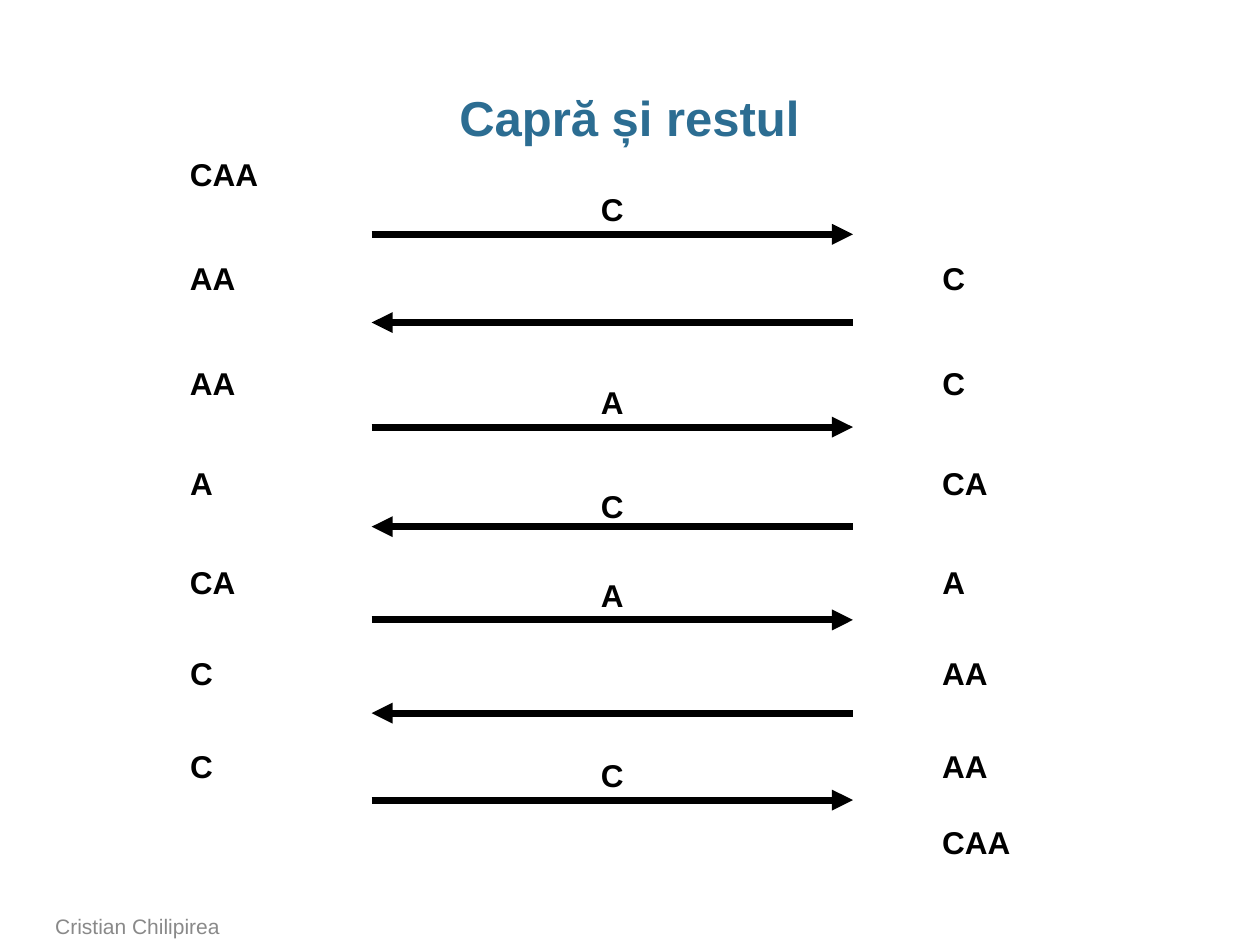
from dataclasses import dataclass

from lxml.etree import SubElement
from pptx import Presentation
from pptx.dml.color import RGBColor
from pptx.enum.shapes import MSO_CONNECTOR
from pptx.enum.text import MSO_ANCHOR, MSO_AUTO_SIZE, PP_ALIGN
from pptx.oxml.ns import qn
from pptx.util import Inches, Pt

COLS, ROWS = 100, 75
WIDTH, HEIGHT = Inches(10), Inches(7.5)
LEFT_BANK, RIGHT_BANK, CARGO = 14.1, 73.8, 46.7
ARROW_START, ARROW_END = 29.5, 67.7

# (row, left bank, right bank)
STATES = [
    (11.8, "CAA", ""),
    (20.1, "AA", "C"),
    (28.4, "AA", "C"),
    (36.3, "A", "CA"),
    (44.2, "CA", "A"),
    (51.4, "C", "AA"),
    (58.8, "C", "AA"),
    (64.8, "", "CAA"),
]

# (arrow row, cargo row, cargo)
CROSSINGS = [
    (18.6, 14.6, "C"),
    (25.6, 21.6, ""),
    (33.9, 29.9, "A"),
    (41.8, 38.2, "C"),
    (49.2, 45.2, "A"),
    (56.6, 52.6, ""),
    (63.5, 59.5, "C"),
]


@dataclass(frozen=True)
class Theme:
    """Colours, font and sizes of the slide."""

    font: str = "Arial"
    title: RGBColor = RGBColor(0x2C, 0x6D, 0x92)
    ink: RGBColor = RGBColor(0, 0, 0)
    muted: RGBColor = RGBColor(0x89, 0x89, 0x89)
    title_size: Pt = Pt(28)
    label_size: Pt = Pt(18)
    footer_size: Pt = Pt(12)
    line_width: Pt = Pt(4)


THEME = Theme()


def x(col):
    """Return the horizontal position of a grid column."""
    return round(WIDTH * col / COLS)


def y(row):
    """Return the vertical position of a grid row."""
    return round(HEIGHT * row / ROWS)


def add_text(slide, text, box, size, color, bold=False):
    """Add a one-paragraph wrapping text box given in grid units."""
    left, top, width, height = box
    sp = slide.shapes.add_textbox(x(left), y(top), x(width), y(height))
    tf = sp.text_frame
    tf.word_wrap = True
    p = tf.paragraphs[0]
    p.text = text
    p.font.name, p.font.size, p.font.bold = THEME.font, size, bold
    p.font.color.rgb = color
    return tf


def add_title(slide, text):
    """Add the centred slide title."""
    tf = add_text(slide, text, (3.4, 6.8, 93.1, 5), THEME.title_size, THEME.title, True)
    tf.margin_left = tf.margin_right = 0
    tf.paragraphs[0].alignment = PP_ALIGN.CENTER
    tf.paragraphs[0].line_spacing = 0.95


def add_footer(slide, text):
    """Add the author line at the bottom of the slide."""
    tf = add_text(slide, text, (3.4, 72.2, 73.7, 2.8), THEME.footer_size, THEME.muted)
    tf.vertical_anchor = MSO_ANCHOR.BOTTOM


def add_label(slide, text, col, row):
    """Add a bold label whose box fits its letters."""
    box = (col, row, 1.9 + 1.9 * len(text), 4)
    tf = add_text(slide, text, box, THEME.label_size, THEME.ink, True)
    tf.word_wrap = False
    tf.auto_size = MSO_AUTO_SIZE.SHAPE_TO_FIT_TEXT


def add_arrow(slide, start, end, row):
    """Add a horizontal arrow between two columns."""
    line = slide.shapes.add_connector(
        MSO_CONNECTOR.STRAIGHT, x(start), y(row), x(end), y(row)
    )
    line.line.color.rgb = THEME.ink
    line.line.width = THEME.line_width
    SubElement(line.line._get_or_add_ln(), qn("a:tailEnd"), type="triangle")
    SubElement(line._element.spPr, qn("a:effectLst"))


def main():
    """Build and save the slide."""
    prs = Presentation()
    prs.slide_width, prs.slide_height = WIDTH, HEIGHT
    slide = prs.slides.add_slide(prs.slide_layouts[6])
    add_title(slide, "Capră și restul")
    add_footer(slide, "Cristian Chilipirea")
    for row, left, right in STATES:
        for text, col in ((left, LEFT_BANK), (right, RIGHT_BANK)):
            if text:
                add_label(slide, text, col, row)
    for i, (arrow_row, cargo_row, cargo) in enumerate(CROSSINGS):
        ends = (ARROW_START, ARROW_END) if i % 2 == 0 else (ARROW_END, ARROW_START)
        add_arrow(slide, *ends, arrow_row)
        if cargo:
            add_label(slide, cargo, CARGO, cargo_row)
    prs.save("out.pptx")


if __name__ == "__main__":
    main()
